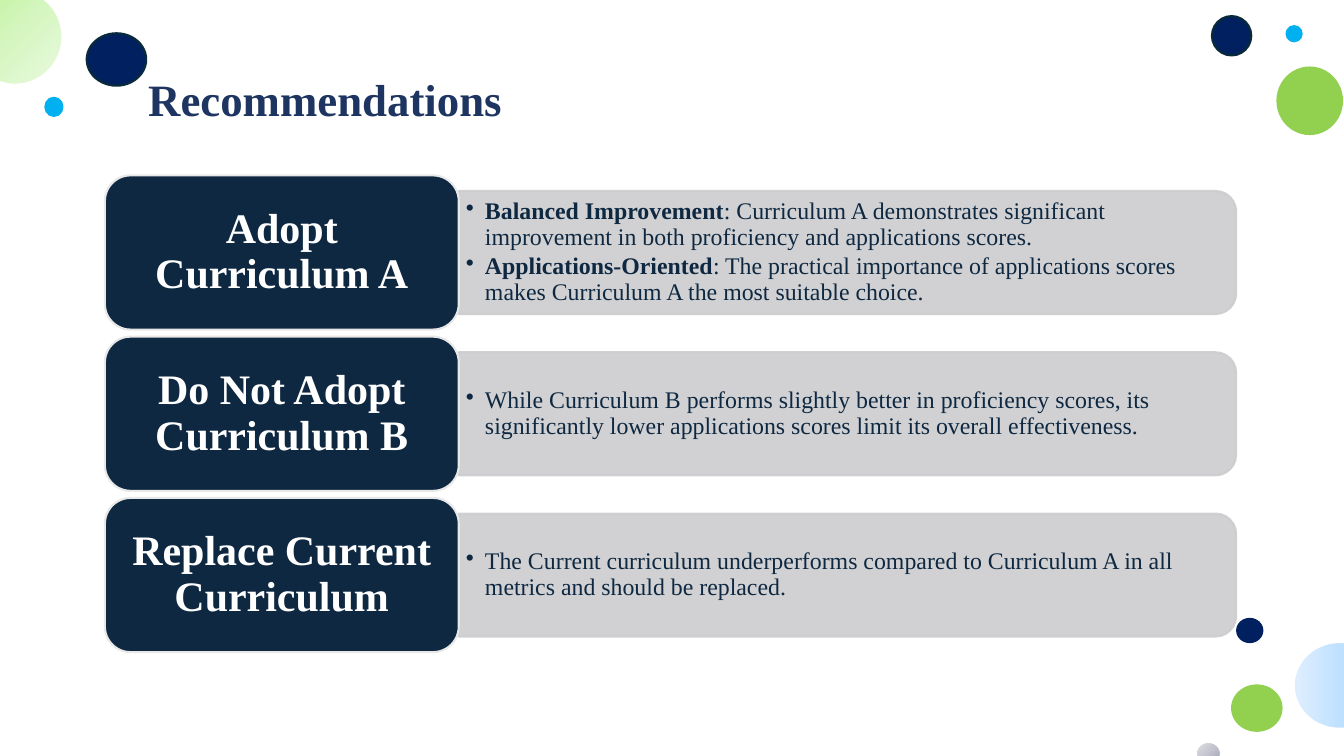
from lxml.etree import SubElement
from pptx import Presentation
from pptx.dml.color import RGBColor
from pptx.enum.shapes import MSO_SHAPE as Shape
from pptx.enum.text import MSO_ANCHOR as Anchor, PP_ALIGN as Align
from pptx.oxml.ns import qn
from pptx.util import Inches, Pt

WHITE = RGBColor(0xFF, 0xFF, 0xFF)
GREEN = RGBColor(0x92, 0xD0, 0x50)
NAVY = RGBColor(0x00, 0x20, 0x60)
DARK_TEAL = RGBColor(0x09, 0x2A, 0x39)
SKY = RGBColor(0x00, 0xB0, 0xF0)
TITLE_BLUE = RGBColor(0x1E, 0x35, 0x61)
INK = RGBColor(0x0E, 0x28, 0x41)
PANEL_GREY = RGBColor(0xCC, 0xCD, 0xCF)
EDGE_GREY = RGBColor(0xE8, 0xE8, 0xE8)
BLUE_FADE = [RGBColor.from_string(code) for code in ("96D0FF", "BFE1FF", "E0EFFF")]
GREY_FADE = [RGBColor.from_string(code) for code in ("9B9DB1", "C3C4CF", "E2E2E7")]
GREEN_FADE = [RGBColor.from_string(code) for code in ("BEF297", "D5F6C0", "EAFAE0")]

DOTS = [
    ((12.67, 0.67, 0.64, 0.66), GREEN, GREEN),
    ((12.02, 0.16, 0.39, 0.39), NAVY, DARK_TEAL),
    ((12.76, 0.26, 0.15, 0.15), SKY, SKY),
    ((12.22, 6.8, 0.49, 0.45), GREEN, GREEN),
    ((12.27, 6.14, 0.25, 0.23), NAVY, NAVY),
    ((0.86, 0.33, 0.59, 0.52), NAVY, DARK_TEAL),
    ((0.45, 0.97, 0.17, 0.18), SKY, SKY),
]
FADED_DOTS = [
    ((12.83, 6.37, 0.91, 0.86), BLUE_FADE, None),
    ((11.86, 7.36, 0.25, 0.23), GREY_FADE, "lt"),
    ((-0.32, -0.11, 0.94, 0.95), GREEN_FADE, "rb"),
]
RECOMMENDATIONS = [
    ("Adopt Curriculum A", [
        ("Balanced Improvement", ": Curriculum A demonstrates significant improvement "
         "in both proficiency and applications scores."),
        ("Applications-Oriented", ": The practical importance of applications scores "
         "makes Curriculum A the most suitable choice."),
    ]),
    ("Do Not Adopt Curriculum B", [
        ("", "While Curriculum B performs slightly better in proficiency scores, its "
         "significantly lower applications scores limit its overall effectiveness."),
    ]),
    ("Replace Current Curriculum", [
        ("", "The Current curriculum underperforms compared to Curriculum A in all "
         "metrics and should be replaced."),
    ]),
]
FIRST_TOP, ROW_STEP = 1.74, 1.6
LABEL_LEFT, LABEL_WIDTH, LABEL_HEIGHT = 1.04, 3.51, 1.53
PANEL_LEFT, PANEL_WIDTH, PANEL_HEIGHT = LABEL_LEFT + LABEL_WIDTH, 7.71, 1.22
TEXT_WIDTH, TEXT_HEIGHT = 7.65, 1.1


class SlideBuilder:
    """Hold the text style and the current page, and draw each kind of element."""

    font_name = "Times New Roman"

    def __init__(self, deck):
        self.page = deck.slides.add_slide(deck.slide_layouts[5])

    def apply(self, target, formats):
        for name, value in formats.items():
            setattr(target, name, value)

    def add_span(self, para, text, size, color, bold):
        span = para.add_run()
        span.text = text
        self.apply(span.font, {"name": self.font_name, "size": Pt(size), "bold": bold})
        span.font.color.rgb = color

    def frame(self, box, side, edge):
        self.apply(box.text_frame, {
            "word_wrap": True, "vertical_anchor": Anchor.MIDDLE,
            "margin_left": Inches(side), "margin_right": Inches(side),
            "margin_top": Inches(edge), "margin_bottom": Inches(edge)})
        return box.text_frame

    def title(self, text, place):
        box = self.page.shapes.title
        self.apply(box, dict(zip(("left", "top", "width", "height"), map(Inches, place))))
        para = self.frame(box, 0.1, 0.05).paragraphs[0]
        self.apply(para, {"alignment": Align.LEFT, "line_spacing": 0.9})
        self.add_span(para, text, 32, TITLE_BLUE, True)

    def shape(self, kind, place, fill, line):
        box = self.page.shapes.add_shape(kind, *map(Inches, place))
        box.shadow.inherit = False
        box.fill.solid()
        box.fill.fore_color.rgb = fill
        box.line.color.rgb = line
        box.line.width = Pt(1.5)
        return box

    def faded_dot(self, place, colors, corner):
        box = self.shape(Shape.OVAL, place, WHITE, WHITE)
        solid = box.element.spPr.find(qn("a:solidFill"))
        fade = SubElement(box.element.spPr, qn("a:gradFill"), rotWithShape="1")
        stops = SubElement(fade, qn("a:gsLst"))
        for position, color in enumerate(colors):
            stop = SubElement(stops, qn("a:gs"), pos=str(position * 50000))
            SubElement(stop, qn("a:srgbClr"), val=str(color))
        if corner:
            radial = SubElement(fade, qn("a:path"), {"path": "circle"})
            SubElement(radial, qn("a:fillToRect"), {side: "100000" for side in corner})
        else:
            SubElement(fade, qn("a:lin"), ang="10800000", scaled="1")
        box.element.spPr.replace(solid, fade)

    def panel(self, middle):
        left = PANEL_LEFT + (PANEL_WIDTH - PANEL_HEIGHT) / 2
        place = (left, middle - PANEL_WIDTH / 2, PANEL_HEIGHT, PANEL_WIDTH)
        box = self.shape(Shape.ROUND_2_SAME_RECTANGLE, place, PANEL_GREY, PANEL_GREY)
        box.rotation = 90
        for color in box.element.spPr.iter(qn("a:srgbClr")):
            SubElement(color, qn("a:alpha"), val="90000")

    def bullets(self, items, middle):
        place = (PANEL_LEFT, middle - TEXT_HEIGHT / 2, TEXT_WIDTH, TEXT_HEIGHT)
        box = self.page.shapes.add_textbox(*map(Inches, place))
        frame = self.frame(box, 0.07, 0.04)
        for index, (lead, body) in enumerate(items):
            para = frame.add_paragraph() if index else frame.paragraphs[0]
            properties = para._p.get_or_add_pPr()
            properties.set("marL", str(Inches(0.19)))
            properties.set("indent", str(-Inches(0.19)))
            SubElement(properties, qn("a:buChar"), char="•")
            self.apply(para, {"level": 1, "line_spacing": 0.9, "space_after": Pt(2.5)})
            if lead:
                self.add_span(para, lead, 17, INK, True)
            self.add_span(para, body, 17, INK, False)

    def label(self, text, top):
        place = (LABEL_LEFT, top, LABEL_WIDTH, LABEL_HEIGHT)
        box = self.shape(Shape.ROUNDED_RECTANGLE, place, INK, EDGE_GREY)
        para = self.frame(box, 0.12, 0.06).paragraphs[0]
        self.apply(para, {"alignment": Align.CENTER, "line_spacing": 0.9})
        self.add_span(para, text, 30, WHITE, True)


def main():
    deck = Presentation()
    deck.slide_width, deck.slide_height = Inches(13.33), Inches(7.5)
    builder = SlideBuilder(deck)
    for place, fill, line in DOTS:
        builder.shape(Shape.OVAL, place, fill, line)
    for place, colors, corner in FADED_DOTS:
        builder.faded_dot(place, colors, corner)
    builder.title("Recommendations", (1.37, 0.52, 10.85, 0.98))
    for row, (heading, items) in enumerate(RECOMMENDATIONS):
        top = FIRST_TOP + row * ROW_STEP
        middle = top + LABEL_HEIGHT / 2
        builder.panel(middle)
        builder.bullets(items, middle)
        builder.label(heading, top)
    deck.save("out.pptx")


if __name__ == "__main__":
    main()
